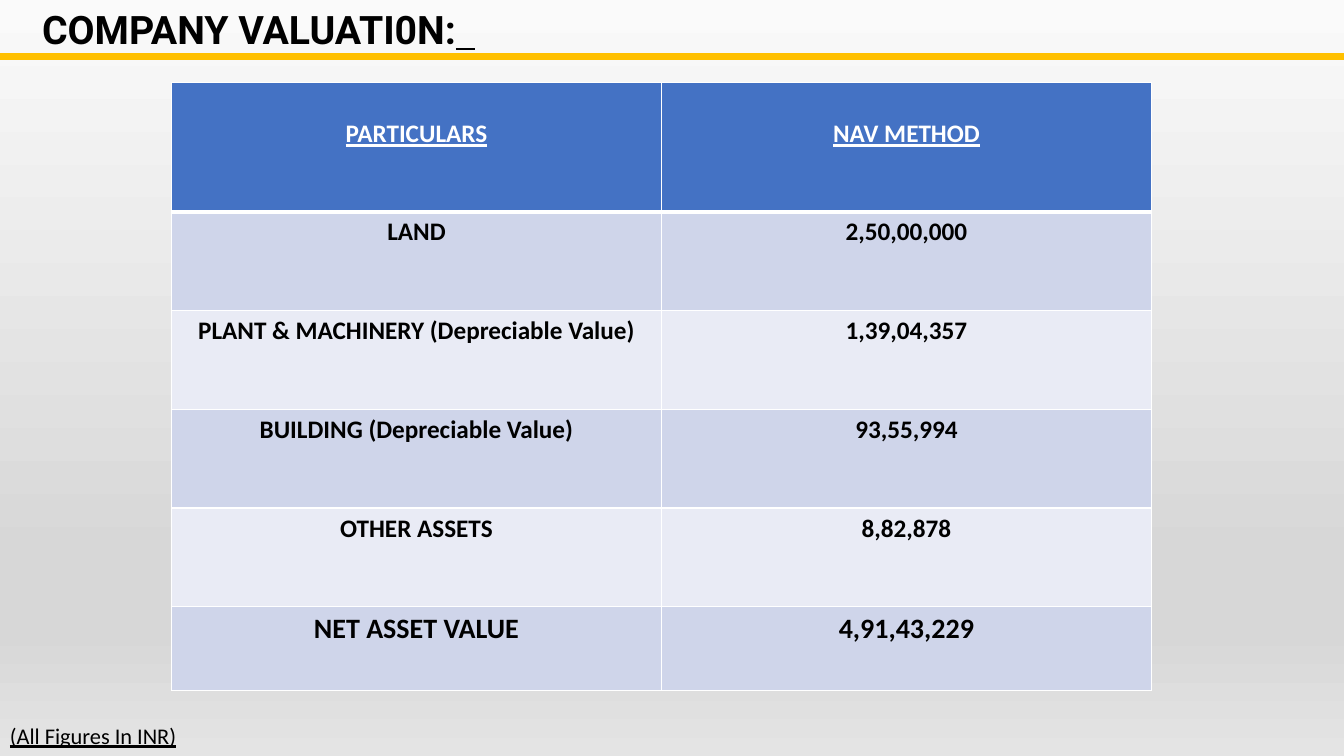
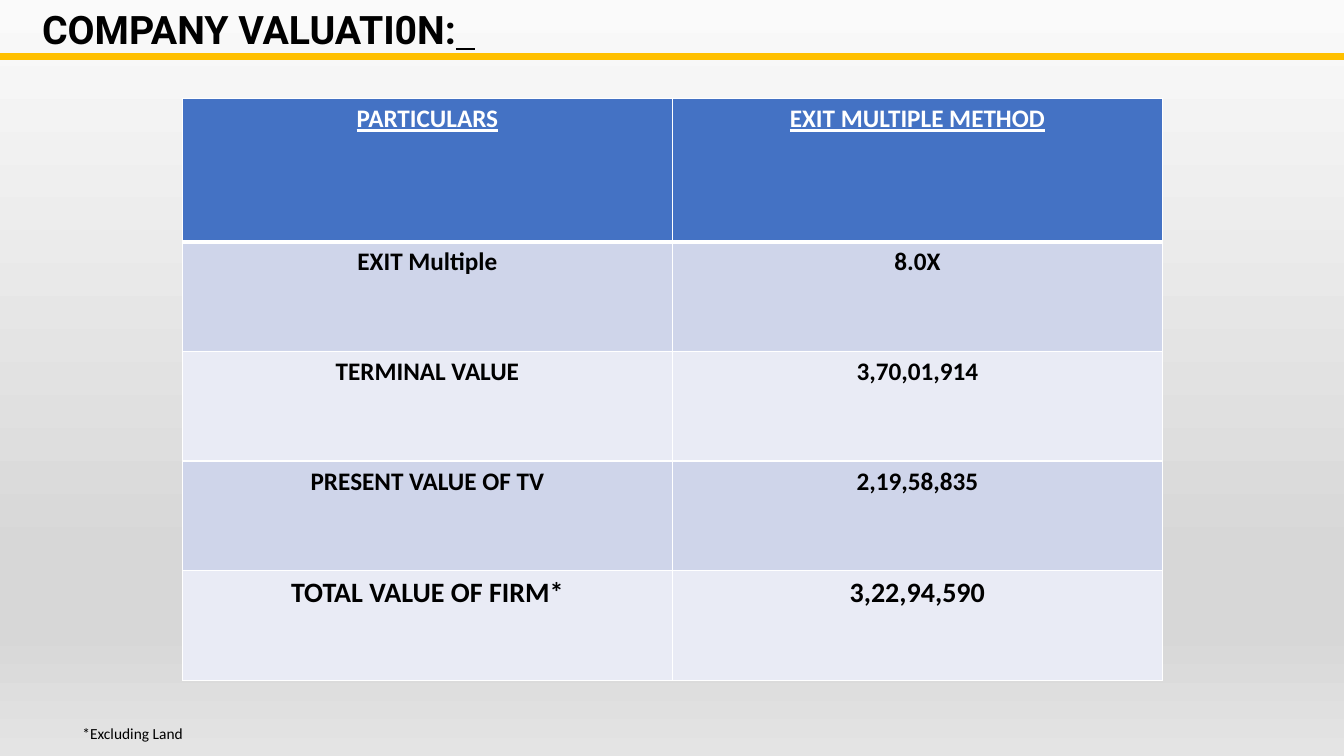
from dataclasses import dataclass

import pptx
import pptx.dml.color
import pptx.enum.shapes
import pptx.enum.text
import pptx.oxml
import pptx.oxml.ns
import pptx.util
from lxml import etree

Pt = pptx.util.Pt
RGBColor = pptx.dml.color.RGBColor

BLACK = RGBColor(0x00, 0x00, 0x00)
WHITE = RGBColor(0xFF, 0xFF, 0xFF)
GOLD = RGBColor(0xFF, 0xC0, 0x00)
BLUE = RGBColor(0x44, 0x72, 0xC4)
ROW_FILLS = (RGBColor(0xCF, 0xD5, 0xEA), RGBColor(0xE9, 0xEB, 0xF5))
BACKGROUND_STOPS = (
    (0, RGBColor(0xFA, 0xFA, 0xFA)),
    (74, RGBColor(0xD7, 0xD7, 0xD7)),
    (83, RGBColor(0xD7, 0xD7, 0xD7)),
    (100, RGBColor(0xE4, 0xE4, 0xE4)),
)

SLIDE_W, SLIDE_H = 960, 540
COLUMN_W = 350
CELL_MARGIN = 3.6
THIN, THICK = 1, 3

TITLE_FONT = {"name": "Roboto", "size": Pt(28), "bold": True}
HEADER_FONT = {"name": "Calibri", "size": Pt(18), "bold": True, "underline": True}
BODY_FONT = {"name": "Calibri", "size": Pt(18), "bold": True}
TOTAL_FONT = BODY_FONT | {"size": Pt(20)}


@dataclass(frozen=True)
class Box:
    left: float
    top: float
    width: float
    height: float

    def emu(self) -> tuple:
        return tuple(Pt(v) for v in (self.left, self.top, self.width, self.height))


@dataclass(frozen=True)
class Footnote:
    text: str
    box: Box
    font: dict


@dataclass(frozen=True)
class Valuation:
    """One slide: a table whose first row is the header and last row the total."""
    left: float
    top: float
    row_heights: tuple
    rows: tuple
    footnote: Footnote
    header_drop: float = 0


VALUATIONS = (
    Valuation(
        left=122.5, top=59.2,
        row_heights=(92.2, 70.5, 70.5, 70.5, 70.5, 60),
        rows=(
            ("PARTICULARS", "NAV METHOD"),
            ("LAND", "2,50,00,000"),
            ("PLANT & MACHINERY (Depreciable Value)", "1,39,04,357"),
            ("BUILDING (Depreciable Value)", "93,55,994"),
            ("OTHER ASSETS", "8,82,878"),
            ("NET ASSET VALUE", "4,91,43,229"),
        ),
        footnote=Footnote(
            "(All Figures In INR)", Box(0, 512, 183, 26.6),
            {"name": "Calibri", "size": Pt(16), "underline": True},
        ),
        header_drop=22,
    ),
    Valuation(
        left=130.3, top=70.5,
        row_heights=(102.2, 78.3, 78.3, 78.3, 78.3),
        rows=(
            ("PARTICULARS", "EXIT MULTIPLE METHOD"),
            ("EXIT Multiple", "8.0X"),
            ("TERMINAL VALUE", "3,70,01,914"),
            ("PRESENT VALUE OF TV", "2,19,58,835"),
            ("TOTAL VALUE OF FIRM*", "3,22,94,590"),
        ),
        footnote=Footnote(
            "*Excluding Land", Box(51.8, 513.4, 157, 20.6),
            {"name": "Calibri", "size": Pt(11)},
        ),
    ),
)


def set_background(s) -> None:
    fill = s.background.fill
    fill.gradient()
    fill.gradient_angle = 270
    stops = fill._xPr.find(".//" + pptx.oxml.ns.qn("a:gsLst"))
    for stop in list(stops):
        stops.remove(stop)
    for percent, color in BACKGROUND_STOPS:
        gs = etree.SubElement(stops, pptx.oxml.ns.qn("a:gs"), pos=str(percent * 1000))
        etree.SubElement(gs, pptx.oxml.ns.qn("a:srgbClr"), val=str(color))


def add_run(p, text: str, font: dict, color: RGBColor = BLACK) -> None:
    r = p.add_run()
    r.text = text
    for name, value in font.items():
        setattr(r.font, name, value)
    r.font.color.rgb = color


def add_text_box(s, box: Box):
    """Add a wrapping text box and return its first paragraph."""
    tf = s.shapes.add_textbox(*box.emu()).text_frame
    tf.word_wrap = True
    return tf.paragraphs[0]


def add_heading(s) -> None:
    band = s.shapes.add_shape(
        pptx.enum.shapes.MSO_SHAPE.RECTANGLE, *Box(0, 38.2, SLIDE_W, 4.3).emu())
    band.shadow.inherit = False
    band.fill.solid()
    band.fill.fore_color.rgb = GOLD
    band.line.color.rgb = GOLD
    band.line.width = Pt(1)

    p = add_text_box(s, Box(23, 4.3, 696, 30.2))
    p.line_spacing = 0.9
    add_run(p, "COMPANY VALUATI0N:", TITLE_FONT)
    add_run(p, "  ", TITLE_FONT | {"underline": True})


def set_borders(cell, top: float, bottom: float) -> None:
    widths = {"lnL": THIN, "lnR": THIN, "lnT": top, "lnB": bottom}
    tc_pr = cell._tc.get_or_add_tcPr()
    for i, (tag, width) in enumerate(widths.items()):
        tc_pr.insert(i, pptx.oxml.parse_xml(
            f'<a:{tag} {pptx.oxml.ns.nsdecls("a")} w="{Pt(width)}">'
            f'<a:solidFill><a:srgbClr val="{WHITE}"/></a:solidFill></a:{tag}>'))


def add_valuation_table(s, v: Valuation) -> None:
    box = Box(v.left, v.top, 2 * COLUMN_W, sum(v.row_heights))
    table = s.shapes.add_table(len(v.rows), 2, *box.emu()).table
    table.horz_banding = False
    for column in table.columns:
        column.width = Pt(COLUMN_W)

    last = len(v.rows) - 1
    for i, (texts, height) in enumerate(zip(v.rows, v.row_heights)):
        table.rows[i].height = Pt(height)
        is_header = i == 0
        font = HEADER_FONT if is_header else TOTAL_FONT if i == last else BODY_FONT
        for j, text in enumerate(texts):
            cell = table.cell(i, j)
            cell.fill.solid()
            cell.fill.fore_color.rgb = BLUE if is_header else ROW_FILLS[(i - 1) % 2]
            cell.margin_top = Pt(CELL_MARGIN + (v.header_drop if is_header else 0))
            set_borders(cell, THICK if i == 1 else THIN, THICK if is_header else THIN)
            p = cell.text_frame.paragraphs[0]
            p.alignment = pptx.enum.text.PP_ALIGN.CENTER
            add_run(p, text, font, WHITE if is_header else BLACK)


def main() -> None:
    prs = pptx.Presentation()
    prs.slide_width, prs.slide_height = Pt(SLIDE_W), Pt(SLIDE_H)
    for v in VALUATIONS:
        s = prs.slides.add_slide(prs.slide_layouts[6])
        set_background(s)
        add_heading(s)
        add_valuation_table(s, v)
        add_run(add_text_box(s, v.footnote.box), v.footnote.text, v.footnote.font)
    prs.save("out.pptx")


if __name__ == "__main__":
    main()
